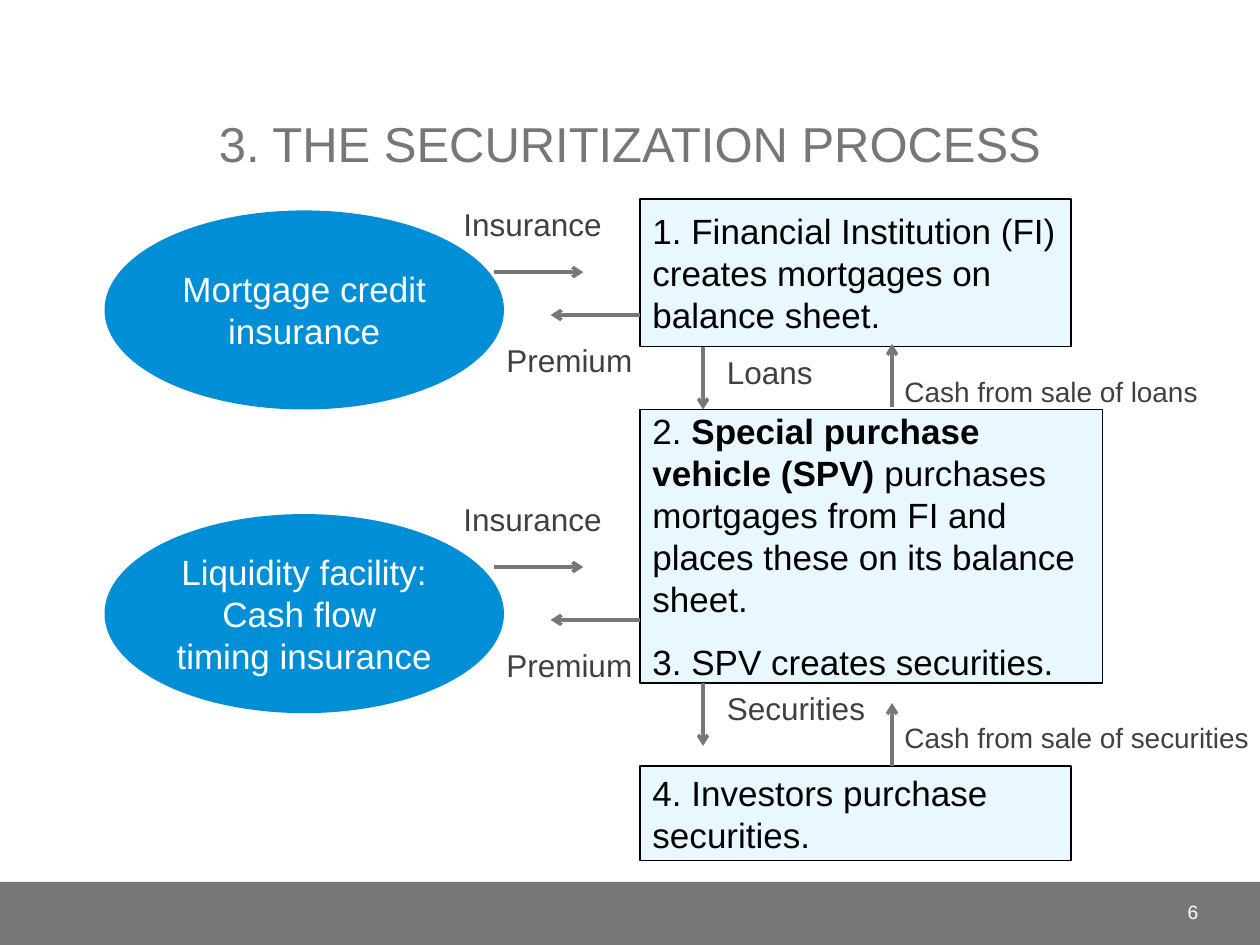
from lxml.etree import SubElement
from pptx import Presentation
from pptx.dml.color import RGBColor
from pptx.enum.shapes import MSO_CONNECTOR, MSO_SHAPE
from pptx.enum.text import MSO_ANCHOR, PP_ALIGN
from pptx.oxml.ns import qn
from pptx.util import Inches, Pt

GRAY, BLUE, PALE_BLUE = "777777", "008ED6", "C4EBFF"
DARK, BLACK, WHITE = "404040", "000000", "FFFFFF"
STEP_LEFT = 5.08


def color(value):
    return RGBColor.from_string(value)


def write_text(shape, paragraphs, size, ink, align=PP_ALIGN.LEFT, anchor=MSO_ANCHOR.MIDDLE):
    frame = shape.text_frame
    frame.text = "\n".join(paragraphs)
    frame.word_wrap = True
    frame.vertical_anchor = anchor
    for para in frame.paragraphs:
        para.alignment = align
        for span in para.runs:
            style_span(span, size, ink)


def style_span(span, size, ink, bold=False):
    span.font.name = "Arial"
    span.font.size = Pt(size)
    span.font.bold = bold
    span.font.color.rgb = color(ink)


def add_text(page, box, text, size, ink, **layout):
    shape = page.shapes.add_textbox(*map(Inches, box))
    write_text(shape, [text], size, ink, **layout)


def add_filled_shape(page, kind, box, fill):
    shape = page.shapes.add_shape(kind, *map(Inches, box))
    shape.shadow.inherit = False
    shape.fill.solid()
    shape.fill.fore_color.rgb = color(fill)
    shape.line.fill.background()
    return shape


def add_facility(page, box, paragraphs):
    oval = add_filled_shape(page, MSO_SHAPE.OVAL, box, BLUE)
    write_text(oval, paragraphs, 20, WHITE, align=PP_ALIGN.CENTER)


def add_step(page, box, paragraphs):
    step = add_filled_shape(page, MSO_SHAPE.RECTANGLE, box, PALE_BLUE)
    fill = step.fill._xPr.find(qn("a:solidFill"))
    SubElement(fill[0], qn("a:alpha"), val="37000")
    step.line.color.rgb = color(BLACK)
    step.line.width = Pt(1)
    write_text(step, paragraphs, 20, BLACK)
    return step


def add_vehicle_step(page, box):
    step = add_step(page, box, ["2. ", "3. SPV creates securities."])
    purchase, creation = step.text_frame.paragraphs
    creation.space_before = Pt(12)
    for text, bold in (
        ("Special purchase vehicle (SPV) ", True),
        ("purchases mortgages from FI and places these on its balance sheet.", False),
    ):
        span = purchase.add_run()
        span.text = text
        style_span(span, 20, BLACK, bold)


def add_arrow(page, start, end):
    arrow = page.shapes.add_connector(MSO_CONNECTOR.STRAIGHT, *map(Inches, start + end))
    arrow.line.color.rgb = color(GRAY)
    arrow.line.width = Pt(2)
    SubElement(arrow.line._get_or_add_ln(), qn("a:tailEnd"), type="arrow")
    SubElement(arrow._element.spPr, qn("a:effectLst"))


def add_label(page, left, top, text, size=18, width=1.5):
    add_text(page, (left, top, width, 0.33), text, size, DARK, anchor=MSO_ANCHOR.TOP)


def add_insurance_exchange(page, top, premium_top):
    cover_top = top + 0.58
    add_arrow(page, (3.92, cover_top), (4.63, cover_top))
    add_label(page, 3.58, top, "Insurance")
    add_arrow(page, (STEP_LEFT, premium_top), (4.37, premium_top))
    add_label(page, 3.92, premium_top + 0.16, "Premium")


def add_sale_exchange(page, top, cash_bottom, cash_label_top, asset):
    down, up, length = STEP_LEFT + 0.5, STEP_LEFT + 2, 0.5
    add_arrow(page, (down, top), (down, top + length))
    add_label(page, down + 0.09, top, asset)
    add_arrow(page, (up, cash_bottom), (up, cash_bottom - length))
    add_label(page, up, cash_label_top, f"Cash from sale of {asset.lower()}", 16, 3)


def add_footer(page, box):
    left, top, width, height = box
    add_filled_shape(page, MSO_SHAPE.RECTANGLE, box, GRAY)
    number_box = (left + width - 1.25, top + 0.04, 0.86, 0.4)
    add_text(page, number_box, "6", 11, WHITE, align=PP_ALIGN.RIGHT)


def add_process(page):
    add_facility(page, (0.83, 1.67, 3.17, 1.58), ["Mortgage credit insurance"])
    add_facility(page, (0.83, 4.08, 3.17, 1.58), ["Liquidity facility: Cash flow ", "timing insurance"])
    add_step(
        page,
        (STEP_LEFT, 1.58, 3.42, 1.17),
        ["1. Financial Institution (FI) creates mortgages on balance sheet."],
    )
    add_vehicle_step(page, (STEP_LEFT, 3.25, 3.67, 2.17))
    add_step(page, (STEP_LEFT, 6.08, 3.42, 0.75), ["4. Investors purchase securities."])
    add_insurance_exchange(page, 1.58, 2.5)
    add_insurance_exchange(page, 3.92, 4.92)
    add_sale_exchange(page, 2.75, 3.23, 2.92, "Loans")
    add_sale_exchange(page, 5.42, 6.08, 5.67, "Securities")


def main():
    deck = Presentation()
    deck.slide_width, deck.slide_height = Inches(10), Inches(7.5)
    page = deck.slides.add_slide(deck.slide_layouts[6])
    add_footer(page, (0, 7, 10, 0.5))
    add_text(
        page,
        (0.42, 0.17, 9.16, 1.25),
        "3. THE SECURITIZATION PROCESS",
        28,
        GRAY,
        align=PP_ALIGN.CENTER,
        anchor=MSO_ANCHOR.BOTTOM,
    )
    add_process(page)
    deck.save("out.pptx")


if __name__ == "__main__":
    main()
